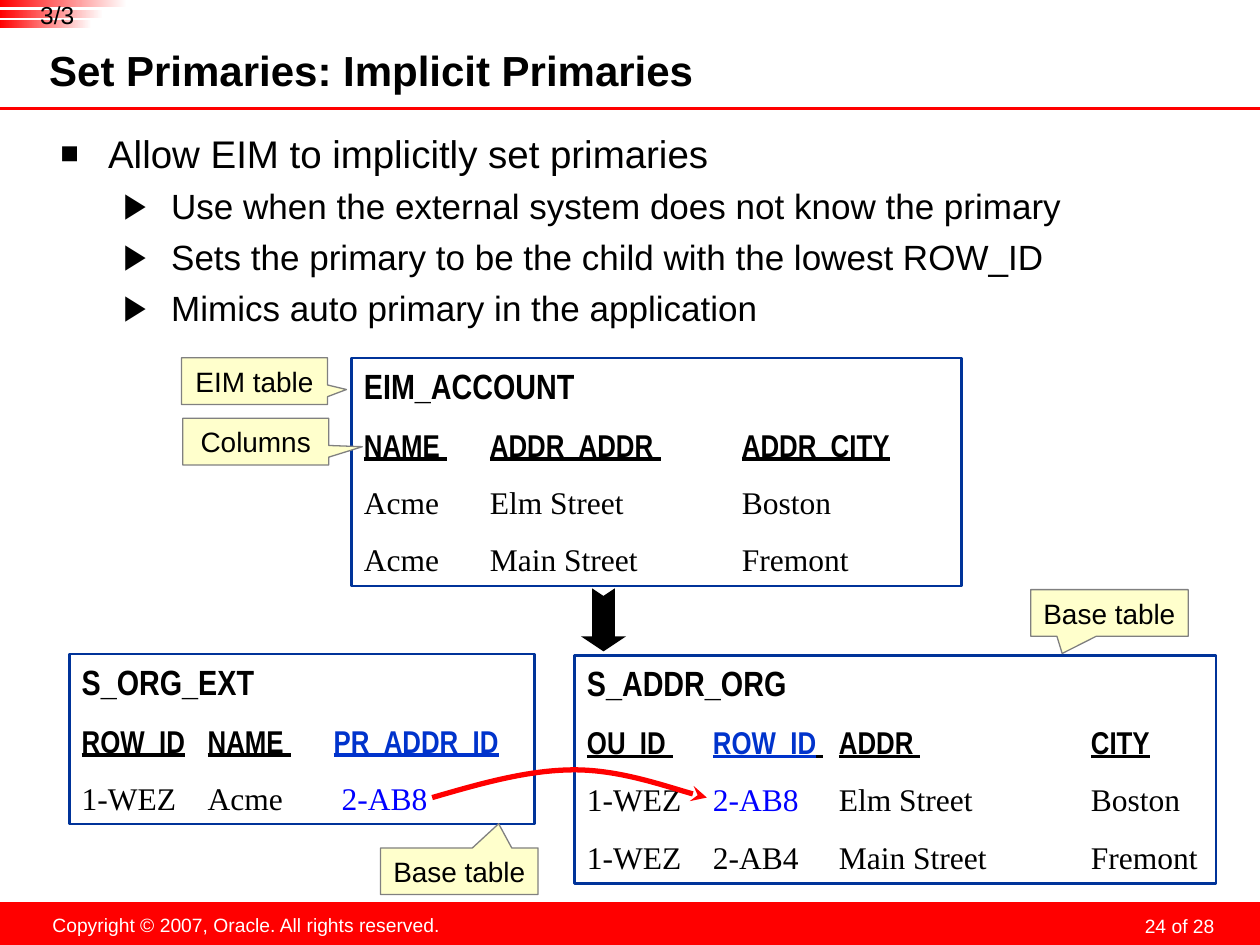
import pptx
import pptx.dml.color
import pptx.enum.shapes
import pptx.enum.text
import pptx.oxml.ns
import pptx.oxml.xmlchemy
import pptx.util

Inches, Pt = pptx.util.Inches, pptx.util.Pt
qn = pptx.oxml.ns.qn
SHAPES = pptx.enum.shapes.MSO_SHAPE
ALIGN = pptx.enum.text.PP_ALIGN
ANCHOR = pptx.enum.text.MSO_ANCHOR
BLACK, WHITE, RED, NAVY, KEY_BLUE, VALUE_BLUE = (
    "000000", "FFFFFF", "FF0000", "003399", "0033CC", "0000FF")
NO_INSETS = (0, 0, 0, 0)
INSETS = (0.1, 0.05, 0.1, 0.05)


def color(value):
    return pptx.dml.color.RGBColor.from_string(value)


def add_xml(parent, tag, **attributes):
    child = pptx.oxml.xmlchemy.OxmlElement(tag)
    for name, value in attributes.items():
        child.set(name, str(value))
    parent.append(child)
    return child


def set_frame(shape, insets, wrap=True, anchor=ANCHOR.TOP):
    frame = shape.text_frame
    frame.word_wrap = wrap
    frame.vertical_anchor = anchor
    (frame.margin_left, frame.margin_top,
     frame.margin_right, frame.margin_bottom) = map(Inches, insets)
    return frame


def set_font(font, size, value=BLACK, name="Arial", bold=False, underline=False):
    font.size, font.name = Pt(size), name
    font.bold, font.underline = bold, underline
    font.color.rgb = color(value)


def set_look(shape, fill=None, line=None, width=0.75):
    shape.shadow.inherit = False
    if fill:
        shape.fill.solid()
        shape.fill.fore_color.rgb = color(fill)
    else:
        shape.fill.background()
    if line:
        shape.line.color.rgb = color(line)
        shape.line.width = Pt(width)
    else:
        shape.line.fill.background()


def add_shape(page, kind, box, **look):
    shape = page.shapes.add_shape(kind, *map(Inches, box))
    set_look(shape, **look)
    return shape


def add_label(page, box, text, size, value=BLACK, align=ALIGN.CENTER,
              insets=NO_INSETS, wrap=True):
    label = page.shapes.add_textbox(*map(Inches, box))
    frame = set_frame(label, insets, wrap)
    frame.text = text
    para = frame.paragraphs[0]
    para.alignment = align
    set_font(para.runs[0].font, size, value)
    return para


def add_rule(page, left, top, width):
    rule = page.shapes.add_connector(
        pptx.enum.shapes.MSO_CONNECTOR.STRAIGHT,
        *map(Inches, (left, top, left + width, top)))
    rule.line.color.rgb = color(RED)
    rule.line.width = Pt(1.75)
    add_xml(rule._element.spPr, "a:effectLst")


def add_footer(page, left, top, width, height):
    add_shape(page, SHAPES.RECTANGLE, (left, top, width, height), fill=RED)
    add_label(page, (left + 0.31, top + 0.04, 3.29, 0.29),
              "Copyright © 2007, Oracle. All rights reserved.", 11, WHITE,
              insets=INSETS, wrap=False)
    number = add_label(page, (left + width - 2.64, top + 0.03, 2.33, 0.25), "24 of 28", 11,
                       WHITE, ALIGN.RIGHT, (0.05, 0, 0.05, 0))
    number.line_spacing = Pt(18)


def place_title(page, box, text):
    title = page.shapes.title
    title.left, title.top, title.width, title.height = map(Inches, box)
    frame = set_frame(title, (0, 0, 0.05, 0.05), anchor=ANCHOR.MIDDLE)
    frame.text = text
    frame.paragraphs[0].alignment = ALIGN.LEFT
    set_font(frame.paragraphs[0].runs[0].font, 24, bold=True)


def add_bullets(page, box, heading, points):
    body = page.shapes.add_textbox(*map(Inches, box))
    frame = set_frame(body, (0.1, 0.1, 0.1, 0.05))
    for index, text in enumerate([heading, *points]):
        para = frame.add_paragraph() if index else frame.paragraphs[0]
        para.text = text
        mark, percent, indent, size = ("▶", 100, 0.88, 20) if index else ("■", 80, 0.38, 22)
        props = para._p.get_or_add_pPr()
        props.set("marL", str(Inches(indent)))
        props.set("indent", str(Inches(-0.38)))
        add_xml(add_xml(props, "a:buClr"), "a:srgbClr", val=BLACK)
        add_xml(props, "a:buSzPct", val=percent * 1000)
        add_xml(props, "a:buFont", typeface="Arial")
        add_xml(props, "a:buChar", char=mark)
        para.level = 1 if index else 0
        para.space_before = Pt(5 if index else 0)
        set_font(para.runs[0].font, size)


def add_record_box(page, box, name, header, *records):
    """Outlined database table; each line is a list of (text, colour) spans on one-inch tabs."""
    panel = add_shape(page, SHAPES.RECTANGLE, box, line=NAVY, width=1.5)
    frame = set_frame(panel, INSETS)
    heading_style = dict(name="Arial Narrow", bold=True)
    lines = [([(name, BLACK)], dict(size=20, **heading_style)),
             (header, dict(size=18, underline=True, **heading_style))]
    lines += [(record, dict(size=18, name="Times New Roman")) for record in records]
    for index, (spans, style) in enumerate(lines):
        para = frame.add_paragraph() if index else frame.paragraphs[0]
        tabs = add_xml(para._p.get_or_add_pPr(), "a:tabLst")
        for stop in range(1, 8):
            add_xml(tabs, "a:tab", pos=Inches(stop), algn="l")
        para.alignment = ALIGN.LEFT
        para.space_before = Pt(11.2 if index else 0)
        for text, value in spans:
            span = para.add_run()
            span.text = text
            set_font(span.font, value=value, **style)


def add_callout(page, box, text, tip, wrap=True):
    callout = add_shape(page, SHAPES.RECTANGULAR_CALLOUT, box, fill="FFFFCC", line="808080")
    callout.adjustments[0], callout.adjustments[1] = tip
    frame = set_frame(callout, INSETS, wrap, ANCHOR.MIDDLE)
    frame.text = text
    frame.paragraphs[0].alignment = ALIGN.CENTER
    set_font(frame.paragraphs[0].runs[0].font, 16)


def add_outline(page, points, close):
    (left, top), *others = [(Inches(x), Inches(y)) for x, y in points]
    builder = page.shapes.build_freeform(left, top)
    builder.add_line_segments(others, close=close)
    return builder.convert_to_shape()


def add_down_arrow(page, left, top, width, height):
    """Block arrow with a notched tail."""
    middle, right = left + width / 2, left + width
    shaft, neck = width / 4, top + height - 0.12
    arrow = add_outline(page, [
        (right - shaft, top), (right - shaft, neck), (right, neck),
        (middle, top + height), (left, neck), (left + shaft, neck),
        (left + shaft, top), (middle, top + 0.06)], close=True)
    set_look(arrow, fill=BLACK)


def add_curved_arrow(page, points):
    """Points are the start, then two controls and an end for each curve."""
    arrow = add_outline(page, points, close=False)
    set_look(arrow, line=RED, width=3)
    outline = arrow._element.find(".//" + qn("a:path"))
    segments = outline.findall(qn("a:lnTo"))
    for start in range(0, len(segments), 3):
        curve = add_xml(outline, "a:cubicBezTo")
        for segment in segments[start:start + 3]:
            curve.append(segment[0])
            outline.remove(segment)
    add_xml(arrow.get_or_add_ln(), "a:tailEnd", type="stealth")


def add_page_marker(page, left, top, text):
    for index, width in enumerate((1.01, 0.82, 0.73)):
        bar = add_shape(page, SHAPES.ROUNDED_RECTANGLE, (left, top + index * 0.08, width, 0.06))
        bar.adjustments[0] = 0
        bar.fill.gradient()
        bar.fill.gradient_angle = 180
        for stop, value in zip(bar.fill.gradient_stops, (WHITE, RED)):
            stop.color.rgb = color(value)
    add_label(page, (left + 0.2, top, 0.51, 0.23), text, 14)


def main():
    deck = pptx.Presentation()
    deck.slide_width, deck.slide_height = Inches(10), Inches(7.5)
    page = deck.slides.add_slide(deck.slide_layouts[5])
    add_footer(page, 0, 7.16, 10, 0.34)
    add_rule(page, 0, 0.86, 10)
    place_title(page, (0.39, 0.38, 7.87, 0.4), "Set Primaries: Implicit Primaries")
    add_bullets(page, (0.38, 0.93, 9.15, 1.8), "Allow EIM to implicitly set primaries", [
        "Use when the external system does not know the primary",
        "Sets the primary to be the child with the lowest ROW_ID",
        "Mimics auto primary in the application"])
    add_record_box(page, (0.55, 5.19, 3.69, 1.35), "S_ORG_EXT",
                   [("ROW_ID\tNAME \t", BLACK), ("PR_ADDR_ID", KEY_BLUE)],
                   [("1-WEZ \tAcme \t ", BLACK), ("2-AB8", VALUE_BLUE)])
    add_record_box(page, (4.56, 5.2, 5.09, 1.81), "S_ADDR_ORG",
                   [("OU_ID \t", BLACK), ("ROW_ID", KEY_BLUE), (" \tADDR \t\tCITY", BLACK)],
                   [("1-WEZ \t", BLACK), ("2-AB8 \t", VALUE_BLUE),
                    ("Elm Street \tBoston", BLACK)],
                   [("1-WEZ \t2-AB4 \tMain Street \tFremont", BLACK)])
    add_record_box(page, (2.79, 2.84, 4.84, 1.81), "EIM_ACCOUNT",
                   [("NAME \tADDR_ADDR \tADDR_CITY", BLACK)],
                   [("Acme \tElm Street \tBoston", BLACK)],
                   [("Acme \tMain Street \tFremont", BLACK)])
    add_down_arrow(page, 4.61, 4.67, 0.36, 0.5)
    add_curved_arrow(page, [(3.43, 6.33), (3.81, 6.22), (4.19, 6.11), (4.56, 6.11),
                            (4.92, 6.11), (5.43, 6.29), (5.61, 6.33)])
    add_page_marker(page, 0, 0, "3/3")
    add_callout(page, (1.44, 2.84, 1.16, 0.37), "EIM table", (0.63, 0.18))
    add_callout(page, (1.45, 3.32, 1.16, 0.37), "Columns", (0.73, 0.11))
    add_callout(page, (3.02, 6.73, 1.25, 0.37), "Base table", (0.25, -1.02), wrap=False)
    add_callout(page, (8.18, 4.68, 1.25, 0.37), "Base table", (-0.3, 0.87), wrap=False)
    deck.save("out.pptx")


if __name__ == "__main__":
    main()
